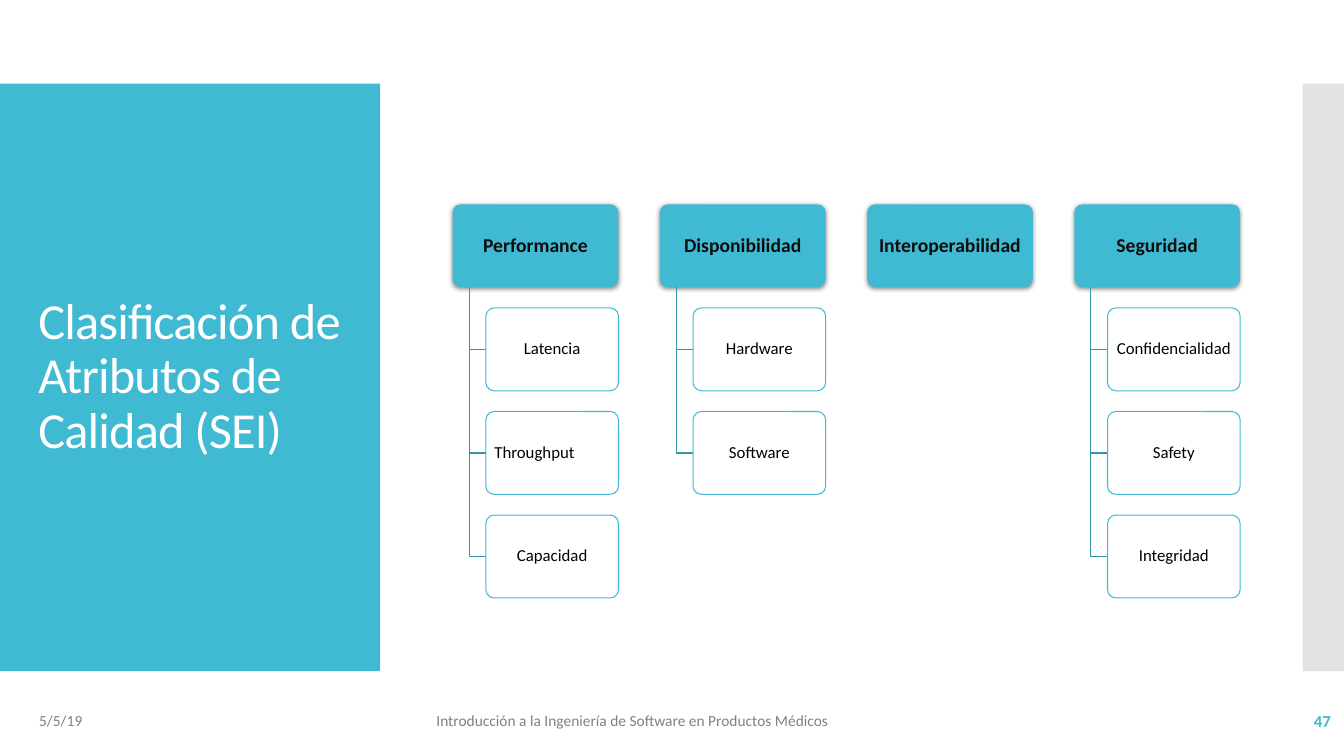
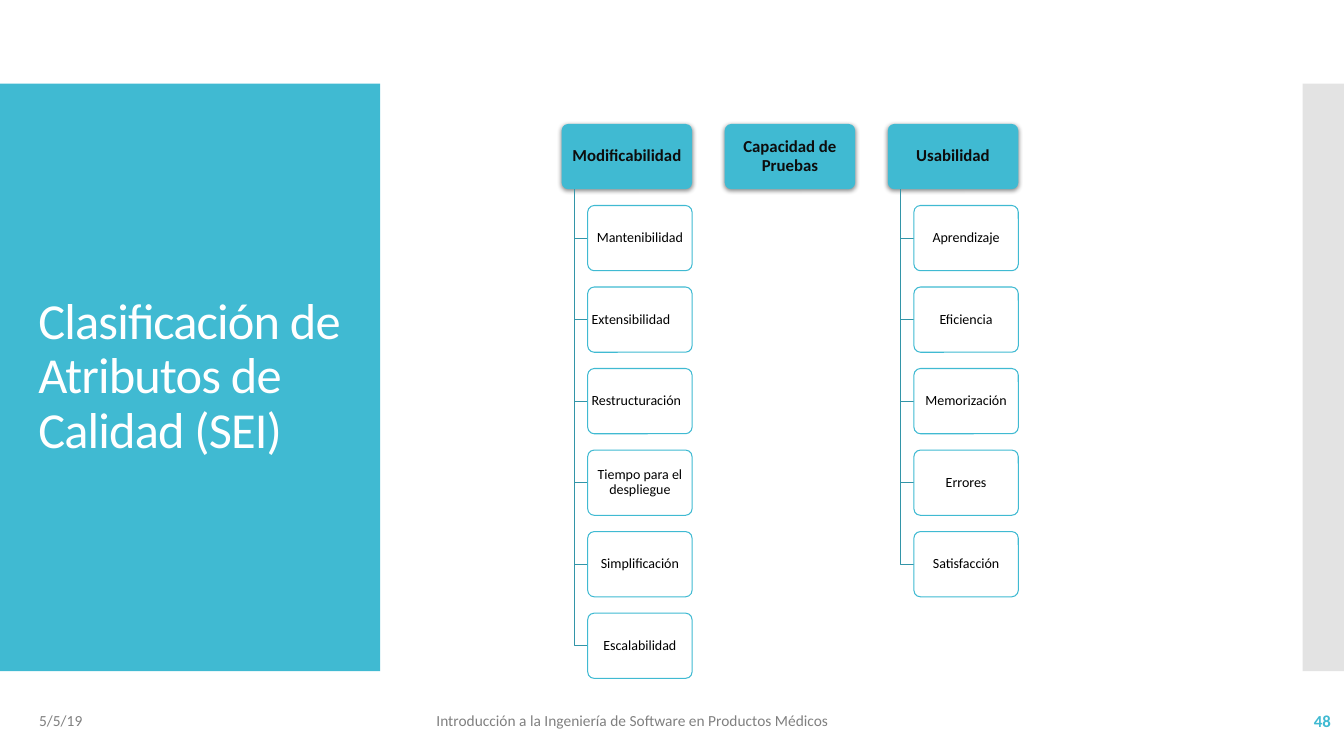
import pptx
import pptx.dml.color
import pptx.enum.shapes
import pptx.enum.text
import pptx.oxml
import pptx.oxml.ns
import pptx.util

SLIDE_W, SLIDE_H = 13.33, 7.5
FONT = "Calibri"
TEAL, TEAL_DARK, GRAY, MUTED = "40BAD2", "3395A8", "C8C8C8", "808080"
WHITE, BLACK, INK = "FFFFFF", "000000", "0D0D0D"
BAND_TOP, BAND_H = 0.83, 5.83
FOOTER_TOP, FOOTER_H = 6.95, 0.4
TITLE = "Clasificación de Atributos de Calidad (SEI)"
DATE = "5/5/19"
COURSE = "Introducción a la Ingeniería de Software en Productos Médicos"
INSET = 0.02
LEFT_INSETS = {"Throughput": 0.06, "Extensibilidad": INSET, "Restructuración": INSET}

PAGES = [
    ("47", (4.49, 1.23, 7.81, 5.5), (14, 12), {
        "Performance": ["Latencia", "Throughput", "Capacidad"],
        "Disponibilidad": ["Hardware", "Software"],
        "Interoperabilidad": [],
        "Seguridad": ["Confidencialidad", "Safety", "Integridad"],
    }),
    ("48", (3.93, 1.23, 7.81, 5.5), (12, 10), {
        "Modificabilidad": ["Mantenibilidad", "Extensibilidad", "Restructuración",
                            "Tiempo para el despliegue", "Simplificación",
                            "Escalabilidad"],
        "Capacidad de Pruebas": [],
        "Usabilidad": ["Aprendizaje", "Eficiencia", "Memorización", "Errores",
                       "Satisfacción"],
    }),
]

ALIGN = pptx.enum.text.PP_ALIGN
SHAPE = pptx.enum.shapes.MSO_SHAPE


def inches(*values):
    return [pptx.util.Inches(v) for v in values]


def rgb(color):
    return pptx.dml.color.RGBColor.from_string(color)


def paint(sp, fill=None, alpha=100, line=None, weight=0.75):
    sp.shadow.inherit = False
    if fill:
        sp.fill.solid()
        sp.fill.fore_color.rgb = rgb(fill)
        if alpha < 100:
            clr = sp.element.spPr.find(".//" + pptx.oxml.ns.qn("a:srgbClr"))
            clr.append(pptx.oxml.parse_xml(
                f'<a:alpha {pptx.oxml.ns.nsdecls("a")} val="{alpha * 1000}"/>'))
    else:
        sp.fill.background()
    if line:
        sp.line.color.rgb = rgb(line)
        sp.line.width = pptx.util.Pt(weight)
    else:
        sp.line.fill.background()


def add_shadow(sp):
    effects = sp.element.spPr.find(pptx.oxml.ns.qn("a:effectLst"))
    effects.append(pptx.oxml.parse_xml(
        f'<a:outerShdw {pptx.oxml.ns.nsdecls("a")} blurRad="44450" dist="13970" '
        'dir="5400000" rotWithShape="0"><a:srgbClr val="000000">'
        '<a:alpha val="45000"/></a:srgbClr></a:outerShdw>'))


def write(sp, text, size, color, bold=False, align=ALIGN.LEFT, spacing=1.0):
    tf = sp.text_frame
    tf.text = text
    tf.word_wrap = True
    tf.auto_size = pptx.enum.text.MSO_AUTO_SIZE.NONE
    tf.vertical_anchor = pptx.enum.text.MSO_ANCHOR.MIDDLE
    p = tf.paragraphs[0]
    p.alignment = align
    p.line_spacing = spacing
    r = p.runs[0]
    r.font.name = FONT
    r.font.size = pptx.util.Pt(size)
    r.font.bold = bold
    r.font.color.rgb = rgb(color)
    return r


def add_bands_and_title(s):
    title = s.shapes.title
    for left, width, color, alpha in [(0, 3.77, TEAL, 100), (12.92, 0.41, GRAY, 50)]:
        band = s.shapes.add_shape(SHAPE.RECTANGLE,
                                  *inches(left, BAND_TOP, width, BAND_H))
        paint(band, color, alpha)
        title.element.addprevious(band.element)
    title.left, title.top, title.width, title.height = inches(0.28, 1.23, 3.22, 5.03)
    r = write(title, TITLE, 36, WHITE, spacing=0.9)
    r.font._element.set("spc", "-60")


def add_footer(s, number):
    for left, width, text, size, color, bold, align in [
        (0.29, 3, DATE, 11, MUTED, False, ALIGN.LEFT),
        (4.23, 6.46, COURSE, 11, MUTED, False, ALIGN.LEFT),
        (11.63, 1.67, number, 12, TEAL, True, ALIGN.RIGHT),
    ]:
        sp = s.shapes.add_textbox(*inches(left, FOOTER_TOP, width, FOOTER_H))
        write(sp, text, size, color, bold, align)


def add_card(s, box, text, size, header=False):
    sp = s.shapes.add_shape(SHAPE.ROUNDED_RECTANGLE, *inches(*box))
    sp.adjustments[0] = 0.1
    if header:
        paint(sp, TEAL)
        add_shadow(sp)
    else:
        paint(sp, WHITE, 90, TEAL)
    align = ALIGN.LEFT if text in LEFT_INSETS else ALIGN.CENTER
    write(sp, text, size, INK if header else BLACK, header, align, 0.9)
    tf = sp.text_frame
    tf.margin_left, tf.margin_right, tf.margin_top, tf.margin_bottom = inches(
        LEFT_INSETS.get(text, INSET), INSET, INSET, INSET)


def add_elbow(s, x, top, end_x, end_y):
    builder = s.shapes.build_freeform(*inches(x, top))
    builder.add_line_segments([inches(x, end_y), inches(end_x, end_y)], close=False)
    paint(builder.convert_to_shape(), line=TEAL_DARK, weight=0.85)


def add_hierarchy(s, box, sizes, groups):
    left, top, width, height = box
    rows = max(len(children) for children in groups.values())
    columns_share = 1.25 * len(groups) - 0.25
    rows_share = 0.5 + 0.625 * rows
    card_w = min(width / columns_share, height / rows_share)
    card_h = card_w / 2
    x0 = left + (width - card_w * columns_share) / 2
    y0 = top + (height - card_w * rows_share) / 2
    for col, (name, children) in enumerate(groups.items()):
        x = x0 + col * 1.25 * card_w
        add_card(s, (x, y0, card_w, card_h), name, sizes[0], header=True)
        child_x = x + 0.2 * card_w
        for row, child in enumerate(children, 1):
            y = y0 + row * 1.25 * card_h
            add_elbow(s, x + 0.1 * card_w, y0 + card_h, child_x, y + card_h / 2)
            add_card(s, (child_x, y, 0.8 * card_w, card_h), child, sizes[1])


def main():
    prs = pptx.Presentation()
    prs.slide_width, prs.slide_height = inches(SLIDE_W, SLIDE_H)
    for number, box, sizes, groups in PAGES:
        s = prs.slides.add_slide(prs.slide_layouts.get_by_name("Title Only"))
        add_bands_and_title(s)
        add_hierarchy(s, box, sizes, groups)
        add_footer(s, number)
    prs.save("out.pptx")


if __name__ == "__main__":
    main()
